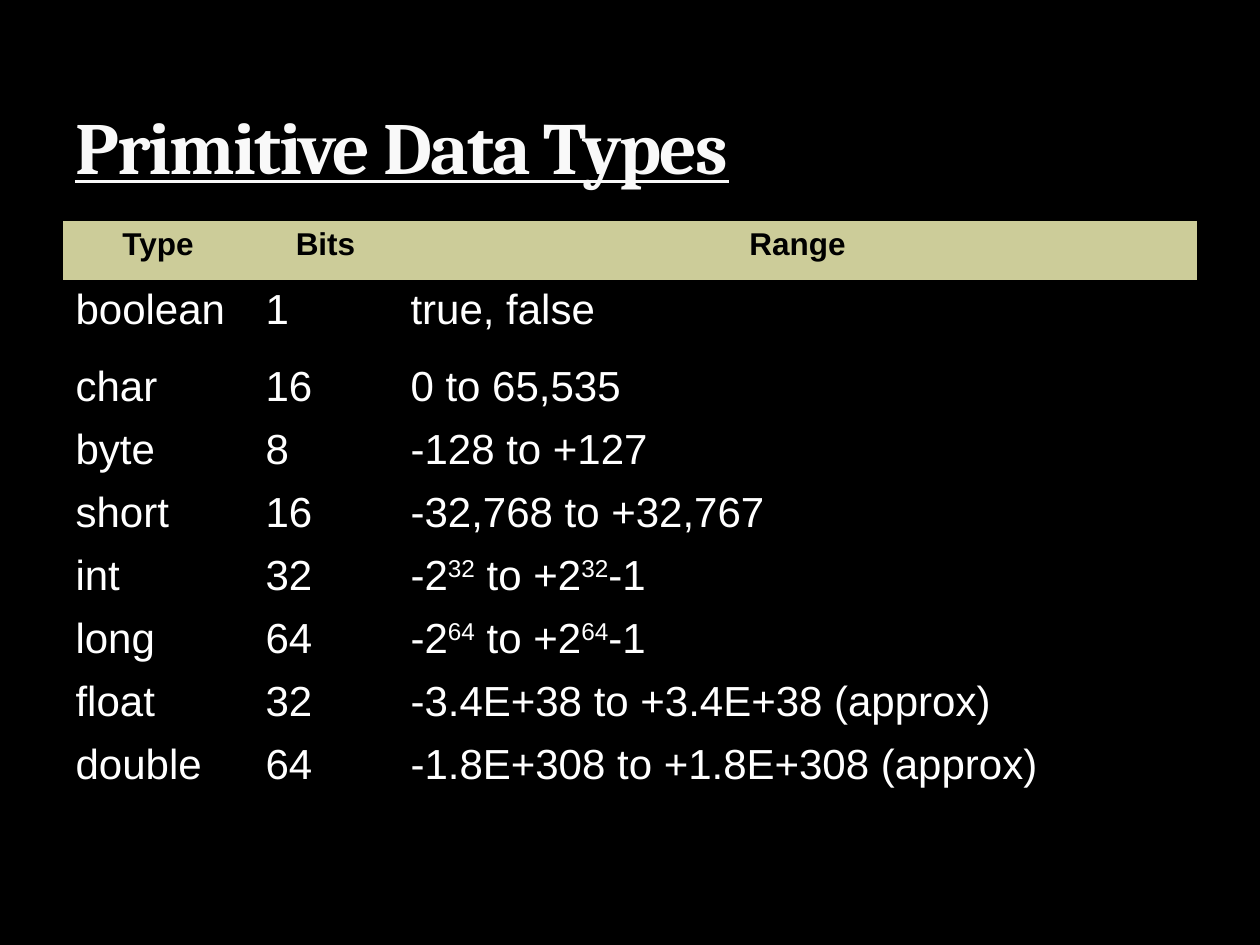
from lxml import etree
from pptx import Presentation
from pptx.dml.color import RGBColor
from pptx.enum.text import MSO_ANCHOR, PP_ALIGN
from pptx.oxml import parse_xml
from pptx.oxml.ns import nsdecls, qn
from pptx.util import Emu, Pt

PX = 914400 / 126
BLACK = RGBColor(0x00, 0x00, 0x00)
WHITE = RGBColor(0xFF, 0xFF, 0xFF)
TITLE_WHITE = RGBColor(0xF9, 0xF9, 0xF9)
KHAKI = RGBColor(0xCC, 0xCC, 0x99)
OUTLINE = RGBColor(0x3C, 0x44, 0x22)
BOTTOM = MSO_ANCHOR.BOTTOM
CENTER, LEFT = PP_ALIGN.CENTER, PP_ALIGN.LEFT
NO_STYLE_NO_GRID = "{2D5ABB26-0587-4C30-8999-92F81FD0307C}"

COLUMN_WIDTHS = [190, 145, 799]
ROW_HEIGHTS = [59, 77] + [59] * 6 + [104]
# Text between a pair of carets is superscript.
DATA_TYPES = [
    ("Type", "Bits", "Range"),
    ("boolean", "1", "true, false"),
    ("char", "16", "0 to 65,535"),
    ("byte", "8", "-128 to +127"),
    ("short", "16", "-32,768 to +32,767"),
    ("int", "32", "-2^32^ to +2^32^-1"),
    ("long", "64", "-2^64^ to +2^64^-1"),
    ("float", "32", "-3.4E+38 to +3.4E+38 (approx)"),
    ("double", "64", "-1.8E+308 to +1.8E+308 (approx)"),
]


def px(n):
    return Emu(round(n * PX))


class SlideBuilder:
    heading_font = "Cambria"
    body_font = "Arial"

    def __init__(self, slide):
        self.slide = slide
        fill = slide.background.fill
        fill.solid()
        fill.fore_color.rgb = BLACK

    def style(self, p, name, size, color, bold):
        p.font.name = name
        p.font.size = Pt(size)
        p.font.bold = bold
        p.font.color.rgb = color

    def title(self, text, x, y, w, h):
        tf = self.slide.shapes.add_textbox(px(x), px(y), px(w), px(h)).text_frame
        tf.word_wrap = True
        tf.vertical_anchor = BOTTOM
        p = tf.paragraphs[0]
        self.style(p, self.heading_font, 42, TITLE_WHITE, True)
        p.font.underline = True
        r = p.add_run()
        r.text = text
        r.font.color.rgb = TITLE_WHITE
        props = r.font._element
        props.set("spc", "-100")
        props.insert(0, parse_xml(
            f'<a:ln {nsdecls("a")} w="3175"><a:solidFill><a:srgbClr val="{OUTLINE}">'
            '<a:alpha val="25000"/></a:srgbClr></a:solidFill></a:ln>'))

    def cell(self, cell, text, header):
        if header:
            cell.fill.solid()
            cell.fill.fore_color.rgb = KHAKI
        else:
            cell.fill.background()
        p = cell.text_frame.paragraphs[0]
        p.alignment = CENTER if header else LEFT
        props = p._p.get_or_add_pPr()
        props.set("marL", str(px(48)))
        props.set("indent", str(-px(48)))
        etree.SubElement(props, qn("a:buNone"))
        self.style(p, self.body_font, 18 if header else 24,
                   BLACK if header else WHITE, header)
        for i, part in enumerate(text.split("^")):
            r = p.add_run()
            r.text = part
            if i % 2:
                r.font._element.set("baseline", "30000")

    def table(self, rows, x, y, widths, heights):
        frame = self.slide.shapes.add_table(
            len(rows), len(widths), px(x), px(y), px(sum(widths)), px(sum(heights)))
        table = frame.table
        table.horz_banding = False
        table._tbl.tblPr.find(qn("a:tableStyleId")).text = NO_STYLE_NO_GRID
        for column, width in zip(table.columns, widths):
            column.width = px(width)
        for i, (row, height) in enumerate(zip(table.rows, heights)):
            row.height = px(height)
            for cell, text in zip(row.cells, rows[i]):
                self.cell(cell, text, header=i == 0)


def main():
    prs = Presentation()
    prs.slide_width, prs.slide_height = px(1260), px(945)
    s = SlideBuilder(prs.slides.add_slide(prs.slide_layouts[6]))
    s.title("Primitive Data Types", 63, 38, 1134, 157)
    s.table(DATA_TYPES, 63, 221, COLUMN_WIDTHS, ROW_HEIGHTS)
    prs.save("out.pptx")


if __name__ == "__main__":
    main()
